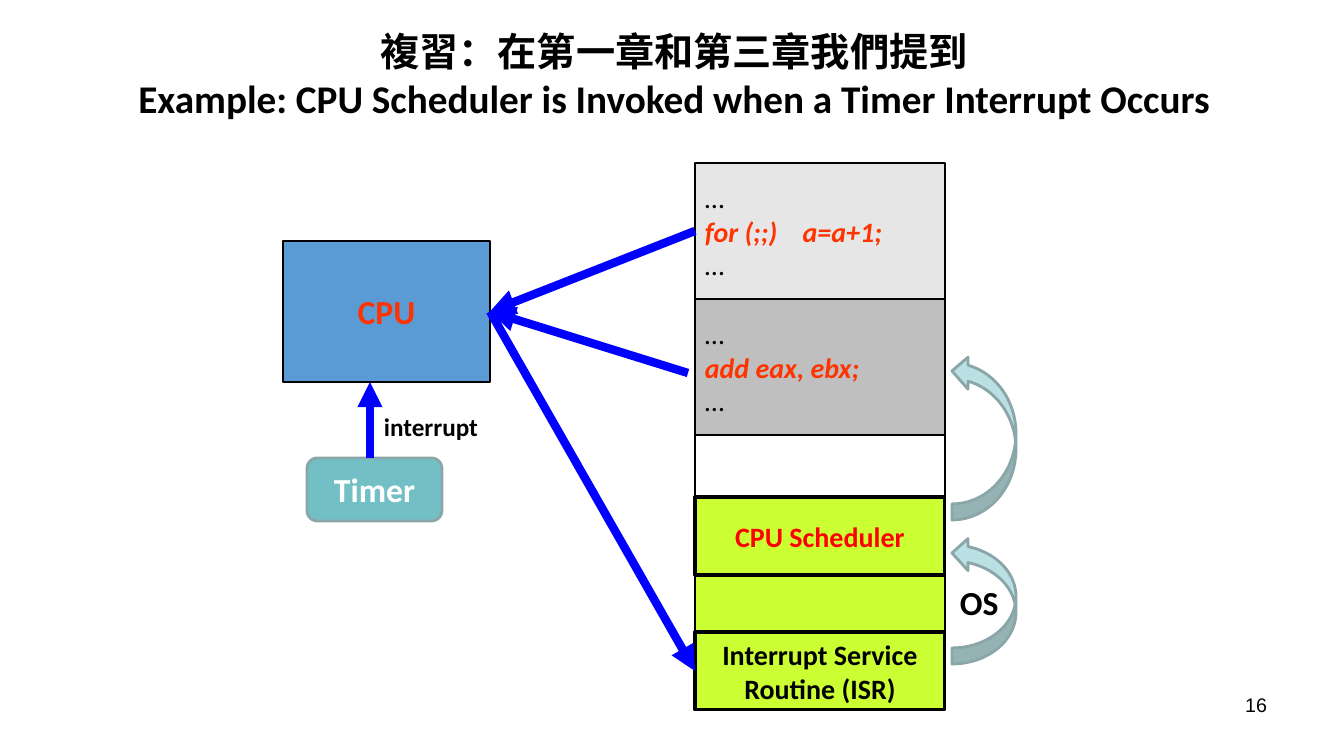
from typing import NamedTuple, Optional

from lxml import etree
from pptx import Presentation
from pptx.dml.color import RGBColor
from pptx.enum.shapes import MSO_CONNECTOR, MSO_SHAPE
from pptx.enum.text import MSO_ANCHOR, PP_ALIGN
from pptx.oxml.ns import qn
from pptx.util import Emu, Pt

RECT = MSO_SHAPE.RECTANGLE
ROUNDED = MSO_SHAPE.ROUNDED_RECTANGLE
CURVED = MSO_SHAPE.CURVED_RIGHT_ARROW
STRAIGHT = MSO_CONNECTOR.STRAIGHT
TOP, MIDDLE = MSO_ANCHOR.TOP, MSO_ANCHOR.MIDDLE
LEFT, CENTER, RIGHT = PP_ALIGN.LEFT, PP_ALIGN.CENTER, PP_ALIGN.RIGHT

EMU_PER_PX = 914400 / 100.8
LEFT_SIDE, RIGHT_SIDE = 1, 3
BLACK, WHITE, RED, ORANGE = "000000", "FFFFFF", "FF0000", "FF3300"
BLUE, TEAL_EDGE, PALE_TEAL = "0000FF", "8AA6A8", "BBE0E3"
MEM_X, MEM_W = 695, 250


class Line(NamedTuple):
    text: str
    color: str = BLACK
    bold: bool = True
    italic: bool = False


class Box(NamedTuple):
    name: str
    x: int
    y: int
    w: int
    h: int
    fill: Optional[str] = None
    edge: str = BLACK
    edge_pt: float = 1
    lines: tuple[Line, ...] = ()
    size: int = 20
    align: PP_ALIGN = CENTER
    shape: MSO_SHAPE = RECT
    flipped: bool = False


class Label(NamedTuple):
    x: int
    y: int
    w: int
    h: int
    text: str
    size: int
    bold: bool = True
    align: PP_ALIGN = LEFT
    anchor: MSO_ANCHOR = TOP
    wrap: bool = False
    font: str = "Calibri"


class Arrow(NamedTuple):
    x1: int
    y1: int
    x2: int
    y2: int
    begin: Optional[tuple[str, int]] = None
    end: Optional[tuple[str, int]] = None


def px(n: int) -> Emu:
    return Emu(round(n * EMU_PER_PX))


def rgb(color: str) -> RGBColor:
    return RGBColor.from_string(color)


def code(text: str) -> tuple[Line, ...]:
    dots = Line("…", bold=False)
    return dots, Line(text, ORANGE, italic=True), dots


def add_run(p, line: Line, size: int, font: str = "Calibri") -> None:
    r = p.add_run()
    r.text = line.text
    r.font.name = font
    r.font.size = Pt(size)
    r.font.bold = line.bold
    r.font.italic = line.italic
    r.font.color.rgb = rgb(line.color)


def draw_box(s, box: Box):
    sp = s.shapes.add_shape(box.shape, px(box.x), px(box.y), px(box.w), px(box.h))
    sp.shadow.inherit = False
    if box.fill:
        sp.fill.solid()
        sp.fill.fore_color.rgb = rgb(box.fill)
    else:
        sp.fill.background()
    sp.line.color.rgb = rgb(box.edge)
    sp.line.width = Pt(box.edge_pt)
    if box.flipped:
        xfrm = sp._element.spPr.find(qn("a:xfrm"))
        xfrm.set("flipH", "1")
        xfrm.set("flipV", "1")
    tf = sp.text_frame
    tf.word_wrap = True
    tf.vertical_anchor = MIDDLE
    for i, line in enumerate(box.lines):
        p = tf.add_paragraph() if i else tf.paragraphs[0]
        p.alignment = box.align
        add_run(p, line, box.size)
    return sp


def draw_label(s, label: Label) -> None:
    sp = s.shapes.add_textbox(px(label.x), px(label.y), px(label.w), px(label.h))
    tf = sp.text_frame
    tf.word_wrap = label.wrap
    tf.vertical_anchor = label.anchor
    p = tf.paragraphs[0]
    p.alignment = label.align
    for i, text in enumerate(label.text.split("\n")):
        if i:
            p.add_line_break()
        add_run(p, Line(text, bold=label.bold), label.size, label.font)


def draw_arrow(s, arrow: Arrow, drawn: dict) -> None:
    cx = s.shapes.add_connector(
        STRAIGHT, px(arrow.x1), px(arrow.y1), px(arrow.x2), px(arrow.y2))
    if arrow.begin:
        cx.begin_connect(drawn[arrow.begin[0]], arrow.begin[1])
    if arrow.end:
        cx.end_connect(drawn[arrow.end[0]], arrow.end[1])
    cx.line.color.rgb = rgb(BLUE)
    cx.line.width = Pt(6)
    etree.SubElement(cx.line._get_or_add_ln(), qn("a:tailEnd"), type="triangle")
    etree.SubElement(cx._element.spPr, qn("a:effectLst"))


BOXES = [
    Box("loop", MEM_X, 163, MEM_W, 136, "E6E6E6",
        lines=code("for (;;)    a=a+1;"), align=LEFT),
    Box("os", MEM_X, 497, MEM_W, 213, "CCFF33"),
    Box("free", MEM_X, 299, MEM_W, 198),
    Box("cpu", 283, 241, 207, 141, "5B9BD5", lines=(Line("CPU", ORANGE),), size=24),
    Box("isr", MEM_X, 632, MEM_W, 78, edge_pt=2.25,
        lines=(Line("Interrupt Service"), Line("Routine (ISR)"))),
    Box("add", MEM_X, 299, MEM_W, 136, "BFBFBF",
        lines=code("add eax, ebx;"), align=LEFT),
    Box("timer", 307, 458, 135, 63, "72BFC5", TEAL_EDGE, 2,
        (Line("Timer", WHITE),), 24, shape=ROUNDED),
    Box("scheduler", MEM_X, 497, MEM_W, 78, edge_pt=2.25,
        lines=(Line("CPU Scheduler", RED),)),
    Box("to scheduler", 952, 537, 64, 127, PALE_TEAL, TEAL_EDGE, 2,
        shape=CURVED, flipped=True),
    Box("to program", 952, 355, 64, 165, PALE_TEAL, TEAL_EDGE, 2,
        shape=CURVED, flipped=True),
]

ARROWS = [
    Arrow(695, 231, 490, 311, ("loop", LEFT_SIDE), ("cpu", RIGHT_SIDE)),
    Arrow(490, 311, 695, 671, ("cpu", RIGHT_SIDE), ("isr", LEFT_SIDE)),
    Arrow(370, 458, 370, 382),
    Arrow(688, 373, 490, 311, end=("cpu", RIGHT_SIDE)),
]

LABELS = [
    Label(69, 11, 1210, 126,
          "複習：在第一章和第三章我們提到\n"
          "Example: CPU Scheduler is Invoked when a Timer Interrupt Occurs",
          28, align=CENTER, anchor=MIDDLE, wrap=True),
    Label(374, 406, 115, 40, "interrupt", 18),
    Label(950, 577, 59, 50, "OS", 24),
    Label(964, 688, 313, 52, "16", 14, False, RIGHT, wrap=True, font="Arial"),
]


def main() -> None:
    prs = Presentation()
    prs.slide_width, prs.slide_height = px(1344), px(756)
    s = prs.slides.add_slide(prs.slide_layouts[6])
    drawn = {box.name: draw_box(s, box) for box in BOXES}
    for arrow in ARROWS:
        draw_arrow(s, arrow, drawn)
    for label in LABELS:
        draw_label(s, label)
    prs.save("out.pptx")


if __name__ == "__main__":
    main()
